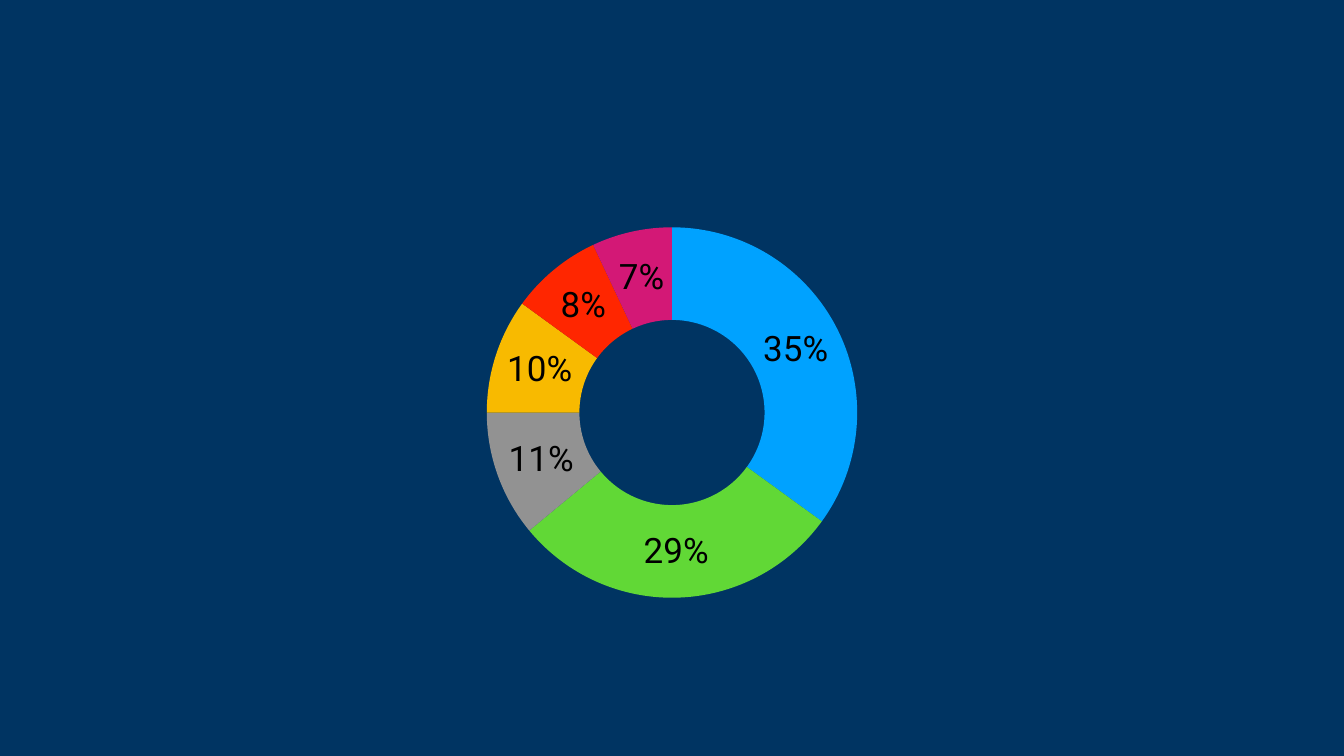
"""Builds a slide with one doughnut chart of six percentage shares."""
from lxml import etree
from pptx import Presentation
from pptx import util as u
from pptx.chart.data import CategoryChartData
from pptx.dml.color import RGBColor
from pptx.enum import chart as ch
from pptx.oxml.ns import qn

COLORS = {
    "navy": "003462", "text": "5E5E5E", "label": "000000",
    "blue": "00A2FF", "green": "61D836", "gray": "929292",
    "yellow": "F8BA00", "red": "FF2600", "magenta": "D31876",
}
SHARES = {"blue": 35, "green": 29, "gray": 11, "yellow": 10, "red": 8, "magenta": 7}


def rgb(name):
    return RGBColor.from_string(COLORS[name])


def format_text(font, size, color, face="Roboto"):
    font.name, font.size = face, u.Pt(size)
    font.color.rgb = rgb(color)


class Deck:
    def __init__(self, width, height):
        self.prs = Presentation()
        self.prs.slide_width, self.prs.slide_height = u.Inches(width), u.Inches(height)

    def add_slide(self, background):
        self.slide = self.prs.slides.add_slide(self.prs.slide_layouts[6])
        fill = self.slide.background.fill
        fill.solid()
        fill.fore_color.rgb = rgb(background)

    def doughnut(self, shares, left, top, side, plot_box, hole):
        width, height = self.prs.slide_width, self.prs.slide_height
        data = CategoryChartData()
        data.categories = [str(i + 1) for i in range(len(shares))]
        data.add_series("Series 1", list(shares.values()))
        edge = int(side * width)
        chart = self.slide.shapes.add_chart(
            ch.XL_CHART_TYPE.DOUGHNUT, int(left * width), int(top * height),
            edge, edge, data).chart
        chart.has_legend = chart.has_title = False
        format_text(chart.font, 10, "text")
        ring = chart.plots[0]
        ring.vary_by_categories = True
        for i, color in enumerate(shares):
            slice_format = ring.series[0].points[i].format
            slice_format.fill.solid()
            slice_format.fill.fore_color.rgb = rgb(color)
            slice_format.line.fill.background()
        self.percent_labels(ring.series[0].data_labels)
        self.place_plot(chart, plot_box)
        for hole_size in chart.element.iter(qn("c:holeSize")):
            hole_size.set("val", str(hole))

    def percent_labels(self, labels):
        labels.show_percentage, labels.show_value = True, False
        labels.number_format, labels.number_format_is_linked = "#,##0%", False
        format_text(labels.font, 50, "label")

    def place_plot(self, chart, box):
        plot_area = next(chart.element.iter(qn("c:plotArea")))
        for layout in plot_area.findall(qn("c:layout")):
            plot_area.remove(layout)
        layout = etree.Element(qn("c:layout"))
        plot_area.insert(0, layout)
        manual = etree.SubElement(layout, qn("c:manualLayout"))
        settings = {"layoutTarget": "inner", "xMode": "edge", "yMode": "edge",
                    **dict(zip("xywh", box))}
        for tag, value in settings.items():
            etree.SubElement(manual, qn(f"c:{tag}"), val=str(value))


def main():
    deck = Deck(26.67, 15)
    deck.add_slide("navy")
    deck.doughnut(SHARES, left=7.22 / 26.67, top=2.15 / 15, side=12.23 / 26.67,
                  plot_box=(0.193, 0.193, 0.614, 0.601), hole=75)
    deck.prs.save("out.pptx")


if __name__ == "__main__":
    main()
